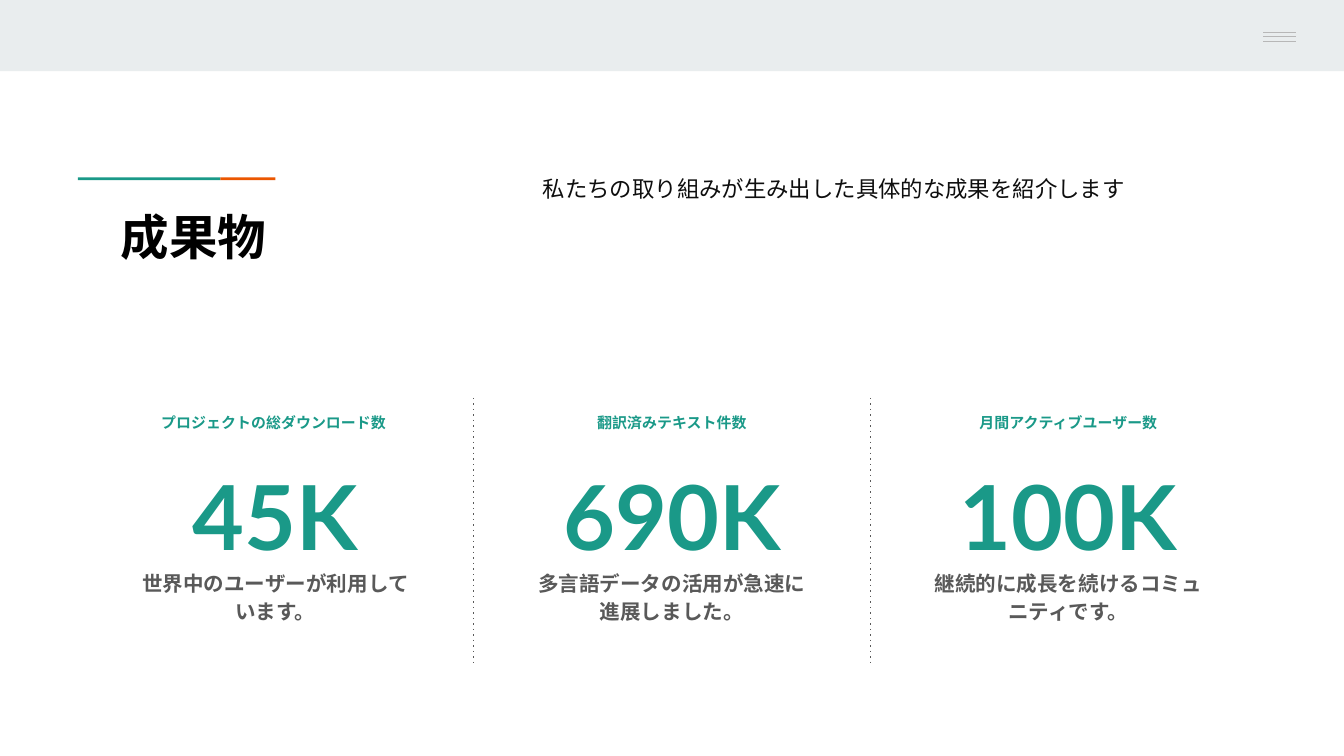
from lxml.etree import SubElement as Sub
from pptx import Presentation
from pptx.dml.color import RGBColor as RGB
from pptx.enum.shapes import MSO_CONNECTOR as CONN, MSO_SHAPE as SHAPE
from pptx.enum.text import MSO_ANCHOR as ANCHOR, PP_ALIGN as ALIGN
from pptx.oxml.ns import qn
from pptx.util import Inches, Pt

TEAL, ORANGE, PALE, GRAY, DARK = "1A9988", "EB5600", "E9EDEE", "B7B7B7", "595959"
hue = RGB.from_string

deck = Presentation()
deck.slide_width = Inches(10)
deck.slide_height = Inches(10) * 9 // 16
slide = deck.slides.add_slide(deck.slide_layouts[6])
shapes = slide.shapes


def add_text(text, box, size, font, color, bold=True, **form):
    """Add a one-paragraph text box; form holds paragraph format values."""
    frame = shapes.add_textbox(*map(Inches, box)).text_frame
    frame.word_wrap = True
    frame.vertical_anchor = ANCHOR.TOP
    for side in ("left", "top", "right", "bottom"):
        setattr(frame, f"margin_{side}", Inches(0.1))
    para = frame.paragraphs[0]
    for key, value in form.items():
        setattr(para, key, value)
    run = para.add_run()
    run.text = text
    look = {"size": Pt(size), "name": font, "bold": bold}
    for key, value in look.items():
        setattr(run.font, key, value)
    run.font.color.rgb = hue(color)


def add_line(ends, color):
    line = shapes.add_connector(CONN.STRAIGHT, *map(Inches, ends))
    line.line.color.rgb = hue(color)
    line.line.width = Pt(0.75)
    Sub(line._element.spPr, qn("a:effectLst"))
    return line


# Top band and the two-colour accent above the title
bars = [
    ((0, 0, 10, 0.53), PALE),
    ((0.58, 1.32, 1.06, 0.02), TEAL),
    ((1.64, 1.32, 0.41, 0.02), ORANGE),
]
for box, color in bars:
    bar = shapes.add_shape(SHAPE.RECTANGLE, *map(Inches, box))
    bar.shadow.inherit = False
    bar.fill.solid()
    bar.fill.fore_color.rgb = hue(color)
    bar.line.fill.background()

# Menu icon
for y in (0.24, 0.27, 0.31):
    add_line((9.4, y, 9.64, y), GRAY)

add_text("成果物", (0.8, 1.44, 3.06, 1.13), 26, "Manrope", "000000")
add_text("私たちの取り組みが生み出した具体的な成果を紹介します",
         (3.94, 1.17, 5.25, 1.13), 12, "Arial", "0E0E0E", False, line_spacing=1.15)

# Three figures, one per column
stats = [
    ("プロジェクトの総ダウンロード数 ", "45K", "世界中のユーザーが利用しています。"),
    ("翻訳済みテキスト件数", "690K", "多言語データの活用が急速に進展しました。"),
    ("月間アクティブユーザー数", "100K", "継続的に成長を続けるコミュニティです。"),
]
rows = [  # top, width, height, size, color
    (2.98, 1.93, 0.25, 8, TEAL),
    (3.21, 2.52, 1.04, 48, TEAL),
    (4.12, 2.26, 0.81, 11, DARK),
]
form = {"alignment": ALIGN.CENTER, "line_spacing": 1.15, "space_after": Pt(16)}
first, step = 2.05, 2.95
for col, stat in enumerate(stats):
    mid = first + col * step
    for text, (top, width, height, size, color) in zip(stat, rows):
        add_text(text, (mid - width / 2, top, width, height), size, "Lato", color, **form)
    # Dotted divider halfway to the column before
    if col:
        x = mid - step / 2
        rule = add_line((x, 2.96, x, 4.96), DARK)
        Sub(rule._element.spPr.find(qn("a:ln")), qn("a:prstDash"), val="dot")

deck.save("out.pptx")
